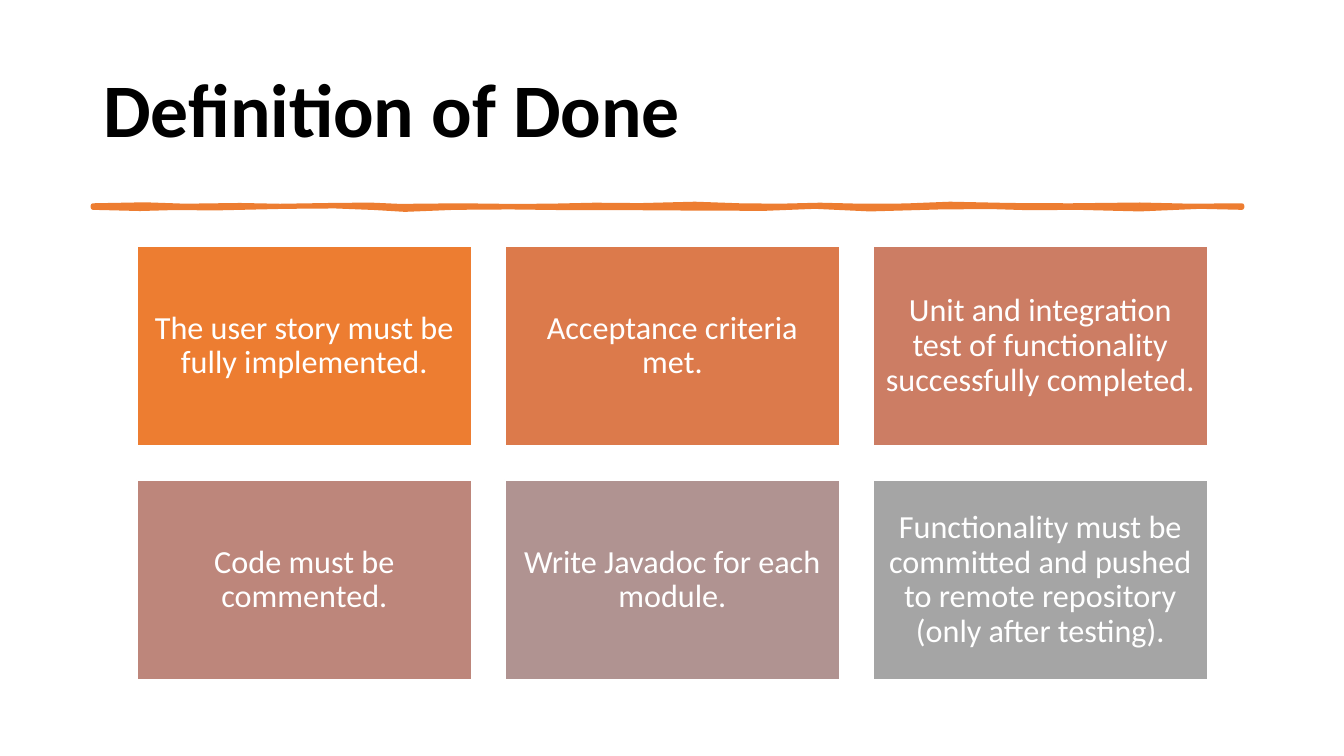
from pptx import Presentation
from pptx.dml.color import RGBColor
from pptx.enum.shapes import MSO_SHAPE
from pptx.enum.text import MSO_ANCHOR, PP_ALIGN
from pptx.util import Pt

RECT = MSO_SHAPE.RECTANGLE
MIDDLE = MSO_ANCHOR.MIDDLE
LEFT, CENTER = PP_ALIGN.LEFT, PP_ALIGN.CENTER

TITLE = "Definition of Done"
CARDS = [
    ("The user story must be fully implemented.", "ED7D31"),
    ("Acceptance criteria met.", "DC7A4B"),
    ("Unit and integration test of functionality successfully completed.", "CC7D64"),
    ("Code must be commented.", "BD867B"),
    ("Write Javadoc for each module.", "B09391"),
    ("Functionality must be committed and pushed to remote repository "
     "(only after testing).", "A5A5A5"),
]
ACCENT = "ED7D31"
STROKE_TOP = [
    (93, 2056), (145, 2046), (185, 2060), (240, 2053), (280, 2061),
    (330, 2053), (370, 2049), (400, 2062), (460, 2056), (510, 2062),
    (550, 2060), (595, 2050), (640, 2054), (695, 2040), (740, 2056),
    (780, 2060), (820, 2050), (860, 2060), (905, 2058), (950, 2040),
    (1010, 2053), (1070, 2056), (1140, 2048), (1190, 2060), (1242, 2056),
]
STROKE_BOTTOM = [
    (1242, 2076), (1200, 2066), (1140, 2092), (1077, 2076), (1030, 2080),
    (990, 2068), (940, 2072), (870, 2092), (836, 2076), (815, 2066),
    (765, 2086), (700, 2084), (640, 2080), (575, 2080), (510, 2072),
    (455, 2076), (405, 2096), (375, 2078), (335, 2062), (285, 2066),
    (215, 2082), (175, 2078), (140, 2088), (93, 2076),
]

PX = 914400 / 100.8
SLIDE_W, SLIDE_H = 1344, 756
TITLE_BOX = (93, 40, 1159, 146)
COLUMNS = 3
CARD_X, CARD_Y, CARD_W, CARD_H = 137, 246, 335, 200
STEP_X, STEP_Y = 368, 234


def px(n):
    return round(n * PX)


def rgb(value):
    return RGBColor.from_string(value)


def style(sp, fill, line, width):
    sp.shadow.inherit = False
    sp.fill.solid()
    sp.fill.fore_color.rgb = rgb(fill)
    sp.line.color.rgb = rgb(line)
    sp.line.width = Pt(width)


def write(sp, text, size, color, bold=False, align=LEFT):
    tf = sp.text_frame
    tf.word_wrap = True
    tf.vertical_anchor = MIDDLE
    p = tf.paragraphs[0]
    p.alignment = align
    p.line_spacing = 0.9
    r = p.add_run()
    r.text = text
    r.font.name = "Calibri"
    r.font.size = Pt(size)
    r.font.bold = bold
    r.font.color.rgb = rgb(color)
    return tf


def add_stroke(slide):
    points = STROKE_TOP + STROKE_BOTTOM
    builder = slide.shapes.build_freeform(*points[0], scale=(PX, PX / 10))
    builder.add_line_segments(points[1:], close=True)
    style(builder.convert_to_shape(), ACCENT, ACCENT, 3.25)


def add_card(slide, index, text, color):
    row, col = divmod(index, COLUMNS)
    sp = slide.shapes.add_shape(
        RECT, px(CARD_X + col * STEP_X), px(CARD_Y + row * STEP_Y), px(CARD_W), px(CARD_H))
    style(sp, color, "FFFFFF", 1)
    tf = write(sp, text, 23, "FFFFFF", align=CENTER)
    tf.margin_left = tf.margin_right = tf.margin_top = tf.margin_bottom = px(10)


def main():
    prs = Presentation()
    prs.slide_width, prs.slide_height = px(SLIDE_W), px(SLIDE_H)
    slide = prs.slides.add_slide(prs.slide_layouts[5])
    title = slide.shapes.title
    title.left, title.top, title.width, title.height = map(px, TITLE_BOX)
    write(title, TITLE, 54, "000000", bold=True)
    add_stroke(slide)
    for index, (text, color) in enumerate(CARDS):
        add_card(slide, index, text, color)
    prs.save("out.pptx")


if __name__ == "__main__":
    main()
